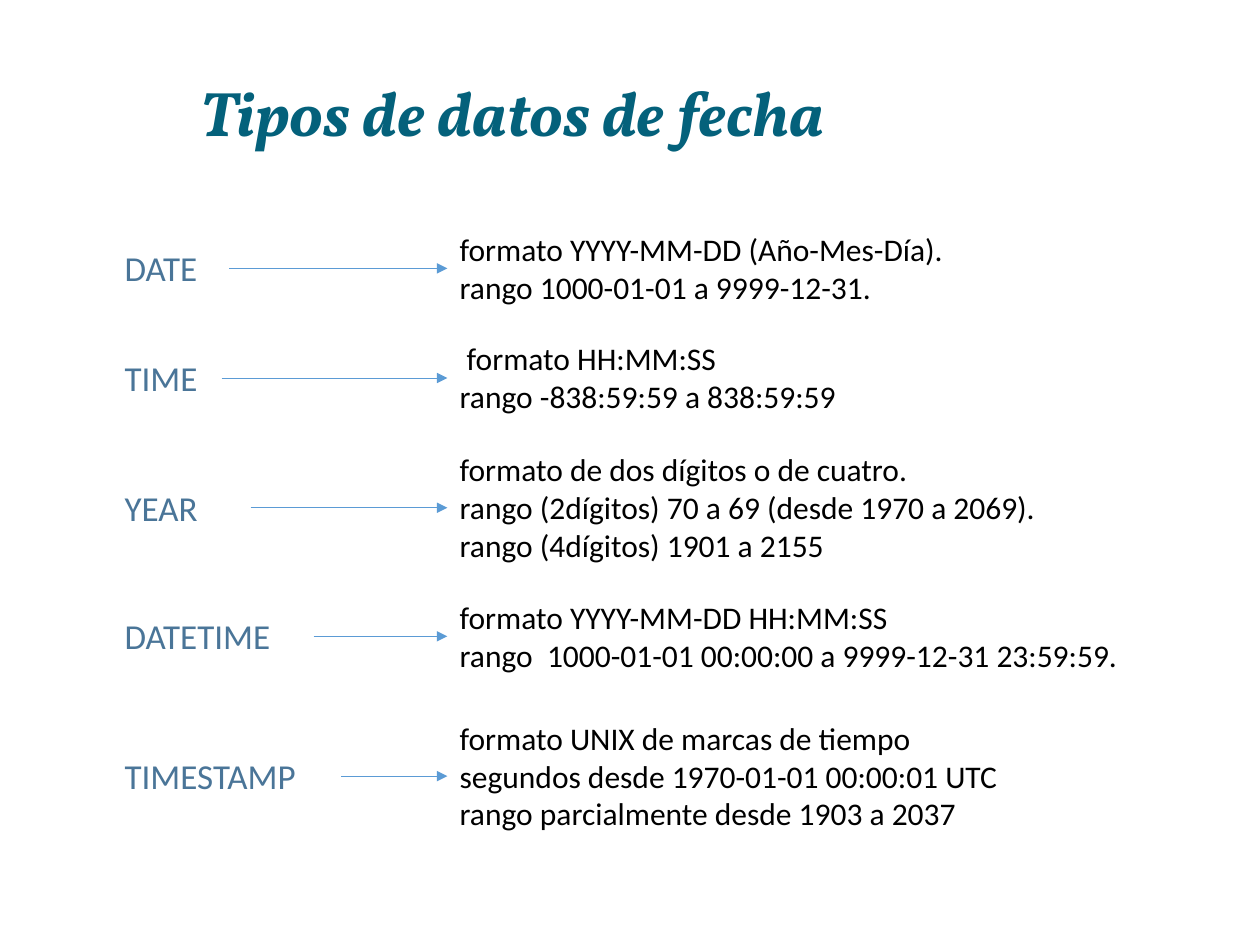
from dataclasses import dataclass

from pptx import Presentation
from pptx.dml.color import RGBColor as Rgb
from pptx.enum.shapes import MSO_CONNECTOR as Link
from pptx.enum.text import MSO_ANCHOR as Anchor, MSO_AUTO_SIZE as Fit, PP_ALIGN as Align
from pptx.oxml.ns import qn
from pptx.util import Inches, Pt
from lxml.etree import SubElement


@dataclass(frozen=True)
class Theme:
    head: dict
    label: dict
    body: dict
    line: str
    width: float


THEME = Theme(
    head={"name": "Vollkorn", "size": 36, "color": "04617B", "bold": True, "italic": True},
    label={"name": "Calibri", "size": 20, "color": "4A7598"},
    body={"name": "Calibri", "size": 18, "color": "000000"},
    line="5B9BD5",
    width=0.5,
)

LEFT, RIGHT = 0.89, 3.55
TALL, STEP, PAD = 0.44, 0.3, 0.11

ROWS = [
    ("DATE", 0.93, 2.13, 4.63,
     "formato YYYY-MM-DD (Año-Mes-Día).\nrango 1000-01-01 a 9999-12-31."),
    ("TIME", 0.87, 3, 3.67,
     " formato HH:MM:SS\vrango -838:59:59 a 838:59:59"),
    ("YEAR", 1.1, 4.03, 5.44,
     "formato de dos dígitos o de cuatro.\n"
     "rango (2dígitos) 70 a 69 (desde 1970 a 2069).\n"
     "rango (4dígitos) 1901 a 2155"),
    ("DATETIME", 1.6, 5.05, 6.14,
     "formato YYYY-MM-DD HH:MM:SS\n"
     "rango  1000-01-01 00:00:00 a 9999-12-31 23:59:59."),
    ("TIMESTAMP", 1.82, 6.16, 5.54,
     "formato UNIX de marcas de tiempo\n"
     "segundos desde 1970-01-01 00:00:01 UTC\n"
     "rango parcialmente desde 1903 a 2037"),
]


class Deck:
    def __init__(self, theme):
        self.theme = theme
        self.file = Presentation()
        self.file.slide_width = Inches(10)
        self.file.slide_height = Inches(7.5)
        self.slide = self.file.slides.add_slide(self.file.slide_layouts[5])

    def style(self, frame, look):
        for para in frame.paragraphs:
            for run in para.runs:
                for key, value in look.items():
                    if key == "color":
                        run.font.color.rgb = Rgb.from_string(value)
                    else:
                        setattr(run.font, key, Pt(value) if key == "size" else value)

    def title(self, text, left, top, width, height):
        shape = self.slide.shapes.title
        place = {"left": left, "top": top, "width": width, "height": height}
        for key, value in place.items():
            setattr(shape, key, Inches(value))
        frame = shape.text_frame
        frame.text = text
        form = {"auto_size": Fit.NONE, "vertical_anchor": Anchor.MIDDLE, "word_wrap": True}
        for key, value in form.items():
            setattr(frame, key, value)
        frame.paragraphs[0].alignment = Align.CENTER
        self.style(frame, self.theme.head)

    def text(self, text, left, mid, width, height, look):
        box = self.slide.shapes.add_textbox(
            Inches(left), Inches(mid - height / 2), Inches(width), Inches(height))
        frame = box.text_frame
        frame.text = text
        for key, value in {"word_wrap": True, "auto_size": Fit.SHAPE_TO_FIT_TEXT}.items():
            setattr(frame, key, value)
        self.style(frame, look)

    def arrow(self, start, end, mid):
        link = self.slide.shapes.add_connector(
            Link.STRAIGHT, Inches(start), Inches(mid), Inches(end), Inches(mid))
        link.line.width = Pt(self.theme.width)
        link.line.color.rgb = Rgb.from_string(self.theme.line)
        SubElement(link.line._get_or_add_ln(), qn("a:tailEnd"), type="triangle")
        SubElement(link._element.spPr, qn("a:effectLst"))

    def row(self, name, width, mid, span, detail):
        count = len(detail.splitlines())
        self.text(name, LEFT, mid, width, TALL, self.theme.label)
        self.text(detail, RIGHT, mid, span, PAD + STEP * count, self.theme.body)
        self.arrow(LEFT + width, RIGHT, mid)


def main():
    deck = Deck(THEME)
    deck.title("Tipos de datos de fecha", 0.22, 0.37, 7.69, 1.02)
    for row in ROWS:
        deck.row(*row)
    deck.file.save("out.pptx")


if __name__ == "__main__":
    main()
